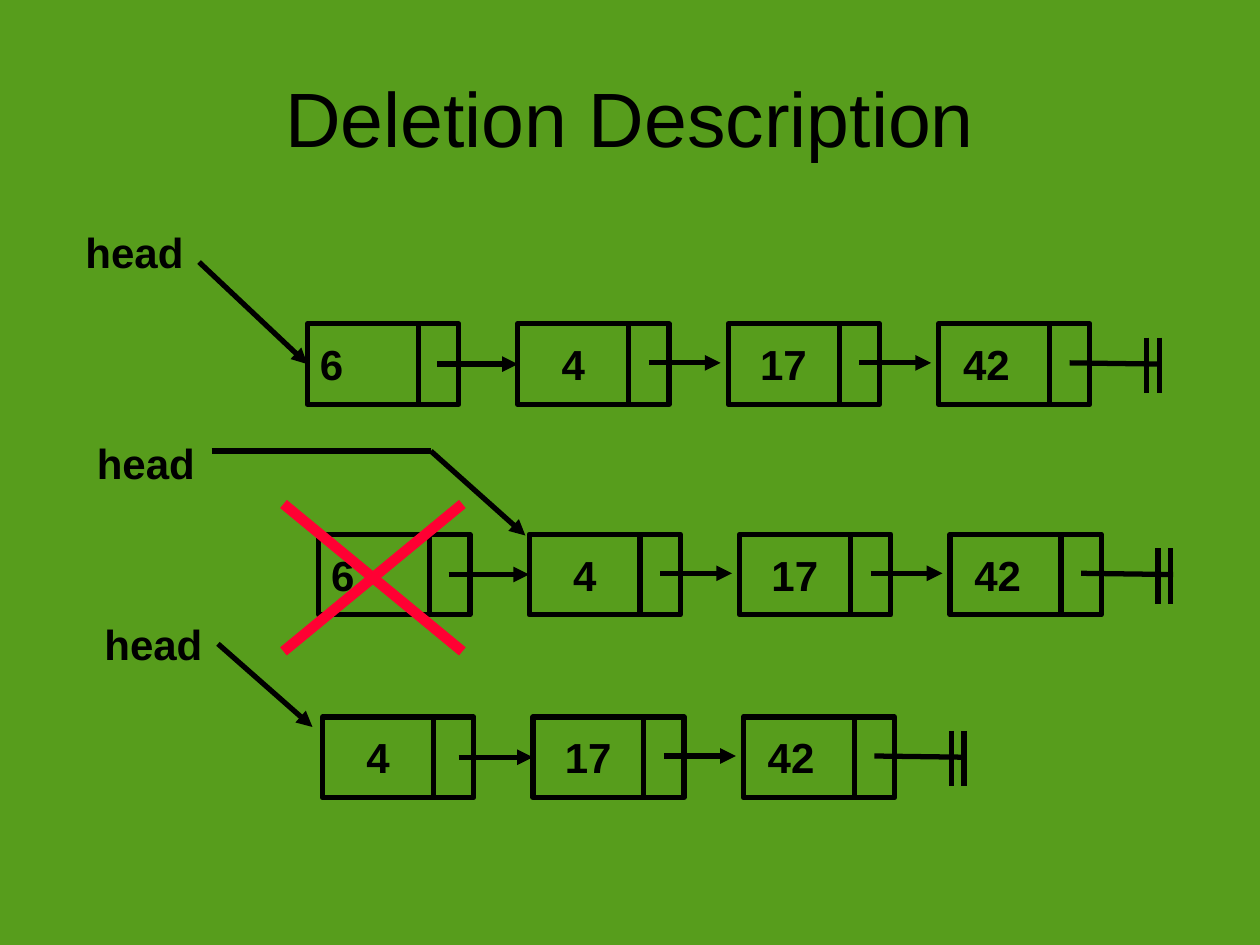
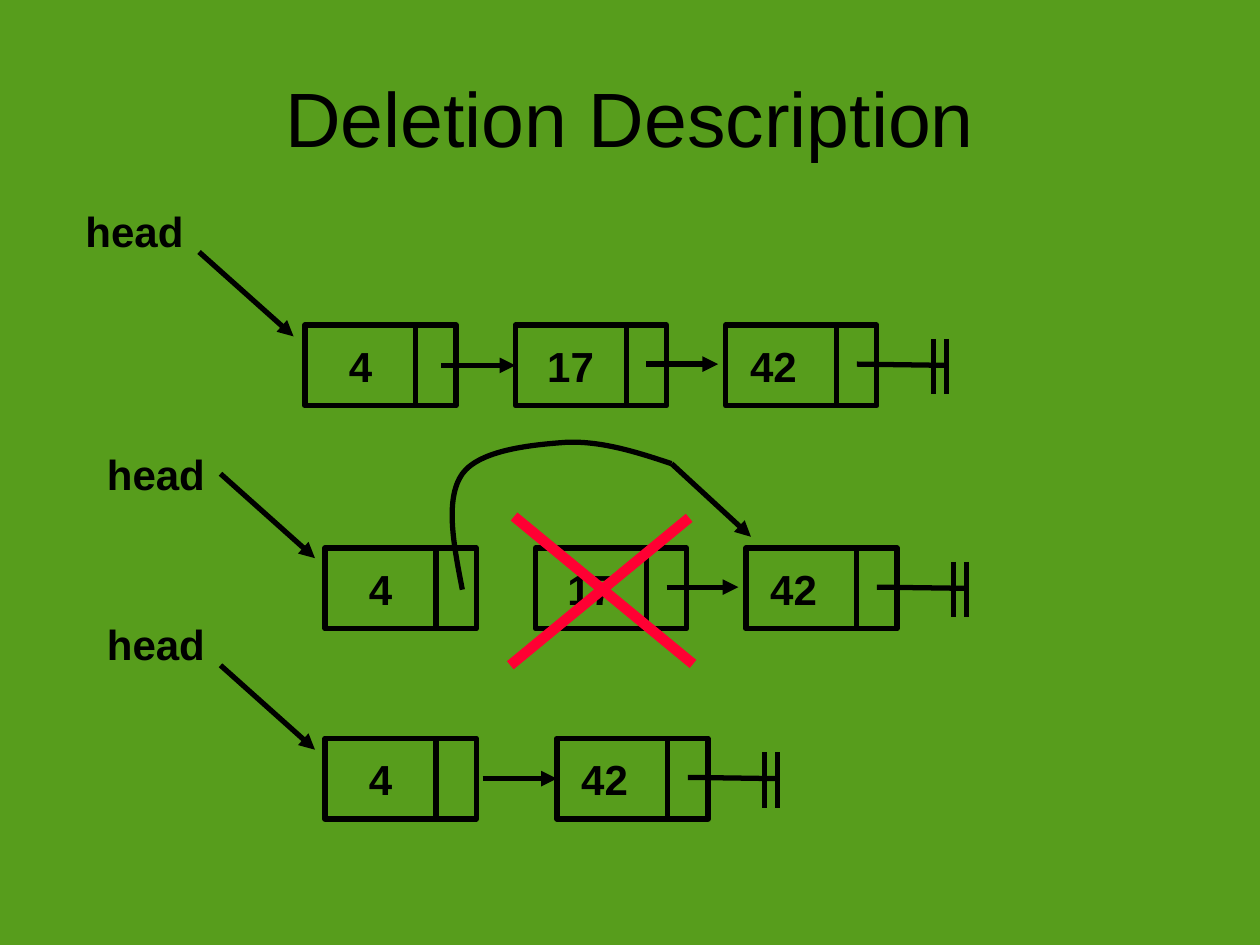
from itertools import pairwise
from pptx import Presentation
from pptx.dml.color import RGBColor
from pptx.enum.shapes import MSO_CONNECTOR, MSO_SHAPE
from pptx.enum.text import MSO_ANCHOR, PP_ALIGN
from pptx.oxml.xmlchemy import OxmlElement
from pptx.util import Inches, Pt

GREEN = RGBColor(0x57, 0x9D, 0x1C)
BLACK = RGBColor(0, 0, 0)
RED = RGBColor(0xFF, 0x00, 0x33)
FONT = "Arial"
NODE_WIDTH, NODE_HEIGHT, VALUE_WIDTH = 1.2, 0.64, 0.88
MIDDLE = NODE_HEIGHT / 2


def add_line(slide, start, end, color=BLACK, width=3, arrow=False):
    connector = slide.shapes.add_connector(
        MSO_CONNECTOR.STRAIGHT, *[Inches(value) for value in (*start, *end)])
    connector.line.color.rgb = color
    connector.line.width = Pt(width)
    if arrow:
        tail = OxmlElement("a:tailEnd")
        tail.set("type", "triangle")
        connector._element.xpath(".//a:ln")[0].append(tail)
    connector._element.spPr.append(OxmlElement("a:effectLst"))
    return connector


def format_text(shape, text, size, bold):
    frame = shape.text_frame
    frame.text = text
    font = frame.paragraphs[0].runs[0].font
    font.name, font.size, font.bold = FONT, Pt(size), bold
    font.color.rgb = BLACK


# Each row: label position, head arrow points, first node, pitch, values,
# start of the first arrow within its node, positions of the two cross strokes.
""" """
slides = [
    [
        ((0.58, 1.75), [(1.58, 2.08), (2.44, 2.89)], (2.44, 2.57), 1.67,
         ["6", "4", "17", "42"], 1.03, []),
        ((0.67, 3.42), [(1.68, 3.58), (3.42, 3.58), (4.17, 4.25)], (2.53, 4.24), 1.67,
         ["6", "4", "17", "42"], 1.03, [(2.25, 4), (2.25, 4)]),
        ((0.73, 4.86), [(1.73, 5.11), (2.48, 5.77)], (2.56, 5.69), 1.67,
         ["4", "17", "42"], 1.08, []),
    ],
    [
        ((0.58, 1.58), [(1.58, 2), (2.33, 2.67)], (2.42, 2.58), 1.67,
         ["4", "17", "42"], 1.08, []),
        ((0.75, 3.51), [(1.75, 3.76), (2.5, 4.43)], (2.58, 4.35), 1.67,
         ["4", "17", "42"], None, [(4.08, 4.1), (4.05, 4.11)]),
        ((0.75, 4.86), [(1.75, 5.28), (2.5, 5.95)], (2.58, 5.86), 1.84,
         ["4", "42"], 1.25, []),
    ],
]

presentation = Presentation()
presentation.slide_width, presentation.slide_height = Inches(10), Inches(7.5)
background = presentation.slide_master.background.fill
background.solid()
background.fore_color.rgb = GREEN

for rows in slides:
    slide = presentation.slides.add_slide(presentation.slide_layouts[5])
    title = slide.shapes.title
    title.left, title.top = Inches(0.5), Inches(0.3)
    title.width, title.height = Inches(9), Inches(1.25)
    format_text(title, "Deletion Description", 44, False)
    title.text_frame.vertical_anchor = MSO_ANCHOR.MIDDLE
    title.text_frame.paragraphs[0].alignment = PP_ALIGN.CENTER

    for label, head_points, (left, top), pitch, values, first_start, strokes in rows:
        nodes = []
        texts = [("head", *label, 0.98)]
        for index, value in enumerate(values):
            x = left + index * pitch
            split = value == "6"
            parts = [(x, NODE_WIDTH)]
            if split:
                parts = [(x, VALUE_WIDTH), (x + VALUE_WIDTH, NODE_WIDTH - VALUE_WIDTH)]
            boxes = []
            for box_left, width in parts:
                box = slide.shapes.add_shape(
                    MSO_SHAPE.RECTANGLE, Inches(box_left), Inches(top),
                    Inches(width), Inches(NODE_HEIGHT))
                box.shadow.inherit = False
                box.fill.background()
                box.line.color.rgb = BLACK
                box.line.width = Pt(3)
                boxes.append(box)
            nodes.append(boxes[0])
            if split:
                format_text(boxes[0], value, 24, True)
                boxes[0].text_frame.word_wrap = False
            else:
                add_line(slide, (x + VALUE_WIDTH, top), (x + VALUE_WIDTH, top + NODE_HEIGHT))
                width = 0.19 + 0.19 * len(value)
                center = 0.38 if value == values[-1] else 0.44
                texts.append((value, x + center - width / 2, top + 0.07, width))

        for text, text_left, text_top, width in texts:
            box = slide.shapes.add_textbox(
                Inches(text_left), Inches(text_top), Inches(width), Inches(0.5))
            format_text(box, text, 24, True)
            box.text_frame.word_wrap = False

        for index in range(len(values) - 1):
            x = left + index * pitch
            if index:
                add_line(slide, (x + 1.04, top + 0.31), (x + 1.61, top + 0.31), arrow=True)
            elif first_start:
                arrow = add_line(slide, (x + first_start, top + MIDDLE),
                                 (x + pitch, top + MIDDLE), arrow=True)
                arrow.end_connect(nodes[1], 1)

        x = left + (len(values) - 1) * pitch
        add_line(slide, (x + 1.04, top + 0.31), (x + 1.77, top + 0.32))
        for offset in (1.65, 1.75):
            add_line(slide, (x + offset, top + 0.11), (x + offset, top + 0.55))

        for start, end in pairwise(head_points):
            arrow = add_line(slide, start, end, arrow=end == head_points[-1])
            if end == (left, round(top + MIDDLE, 2)):
                arrow.end_connect(nodes[0], 1)

        for (x, y), (rise, fall) in zip(strokes, [(0, 1.17), (1.17, 0)]):
            add_line(slide, (x, y + rise), (x + 1.42, y + fall), RED, 6)

bypass_points = [
    (3.6, 4.32), (3.53, 3.96), (3.67, 3.76),
    (3.81, 3.57), (4.22, 3.53), (4.5, 3.51),
    (4.78, 3.5), (5.06, 3.59), (5.33, 3.68),
]
builder = slide.shapes.build_freeform(Inches(3.67), Inches(4.68))
builder.add_line_segments([(Inches(x), Inches(y)) for x, y in bypass_points], close=False)
bypass = builder.convert_to_shape()
bypass.shadow.inherit = False
bypass.fill.background()
bypass.line.color.rgb = BLACK
bypass.line.width = Pt(3)
segments = bypass._element.xpath(".//a:lnTo")
for index in range(0, len(segments), 3):
    curve = OxmlElement("a:cubicBezTo")
    segments[index].addprevious(curve)
    for segment in segments[index:index + 3]:
        curve.append(segment[0])
        segment.getparent().remove(segment)
add_line(slide, bypass_points[-1], (5.96, 4.26), arrow=True)

presentation.save("out.pptx")
